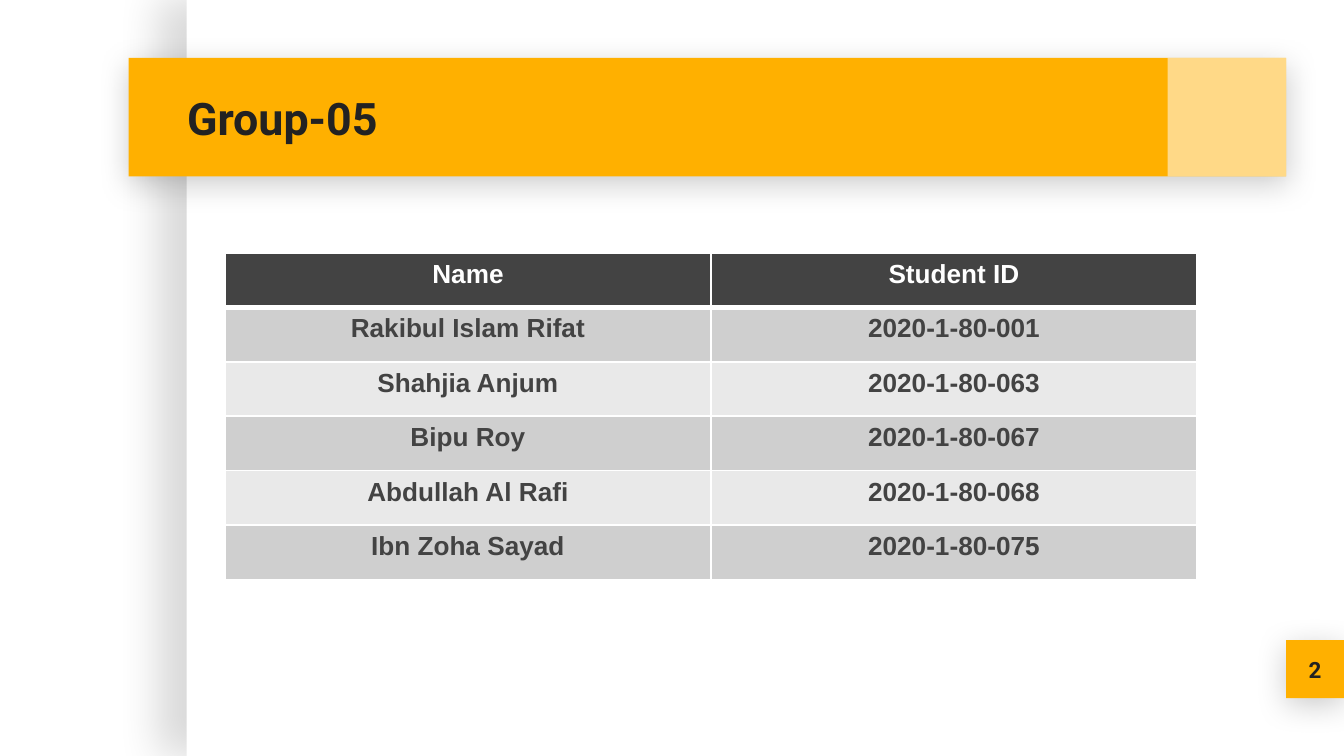
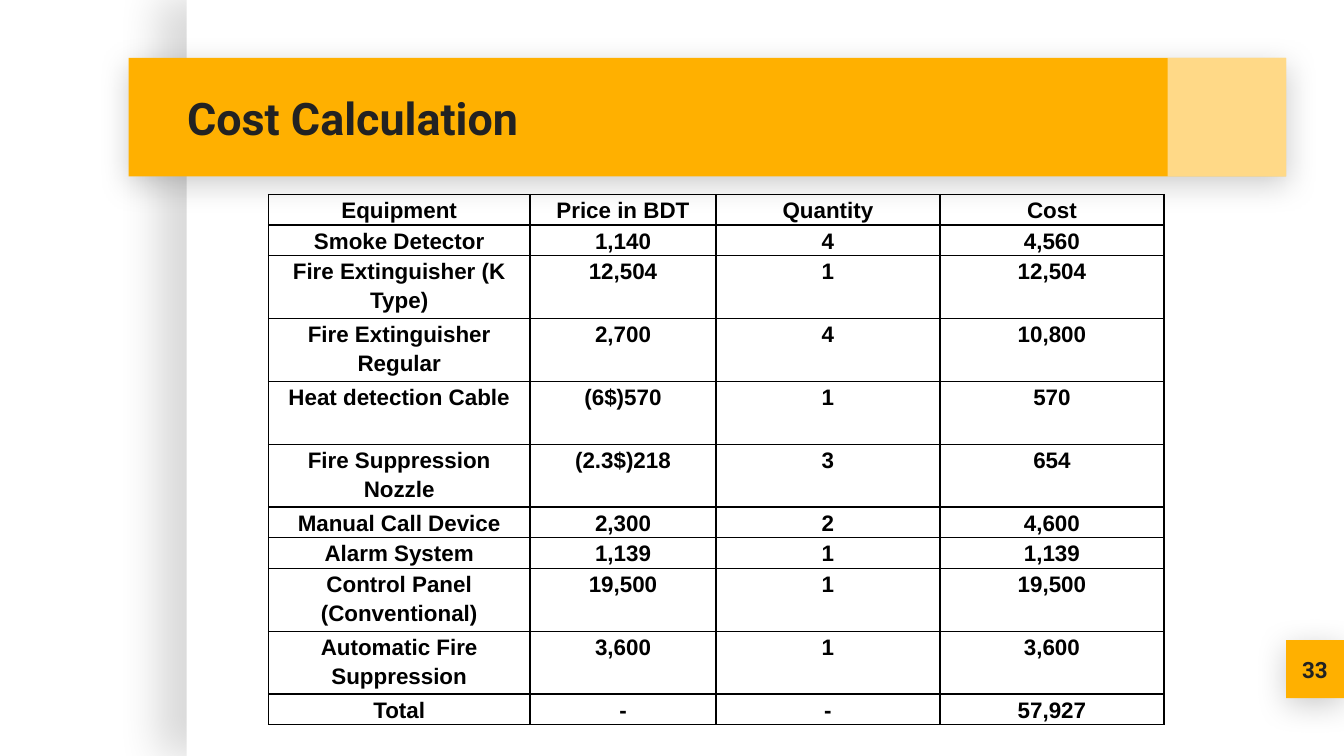
"""Build the group and cost slides with a shared amber band style."""
from lxml.etree import SubElement
from pptx import Presentation
from pptx.dml.color import RGBColor
from pptx.enum.shapes import MSO_SHAPE
from pptx.enum.text import MSO_ANCHOR, MSO_AUTO_SIZE, PP_ALIGN
from pptx.oxml.ns import qn
from pptx.util import Pt

WHITE, BLACK, AMBER, INK = "FFFFFF", "000000", "FFB000", "222222"
CHARCOAL, GREY, PALE = "434343", "CFCFCF", "E9E9E9"
WIDTH, HEIGHT = 720, 405
UNIT = 31
BAND_LEFT, BAND_TOP, BAND_HEIGHT = 69, UNIT, 63.5
BAND_RIGHT = WIDTH - UNIT
TAG = (BAND_RIGHT, 343, UNIT, UNIT)

STUDENTS = [
    ("Name", "Student ID"),
    ("Rakibul Islam Rifat", "2020-1-80-001"),
    ("Shahjia Anjum", "2020-1-80-063"),
    ("Bipu Roy", "2020-1-80-067"),
    ("Abdullah Al Rafi", "2020-1-80-068"),
    ("Ibn Zoha Sayad", "2020-1-80-075"),
]
COSTS = [
    ("Equipment", "Price in BDT", "Quantity", "Cost"),
    ("Smoke Detector", "1,140", "4", "4,560"),
    ("Fire Extinguisher (K Type)", "12,504", "1", "12,504"),
    ("Fire Extinguisher Regular", "2,700", "4", "10,800"),
    ("Heat detection Cable", "(6$)570", "1", "570"),
    ("Fire Suppression Nozzle", "(2.3$)218", "3", "654"),
    ("Manual Call Device", "2,300", "2", "4,600"),
    ("Alarm System", "1,139", "1", "1,139"),
    ("Control Panel (Conventional)", "19,500", "1", "19,500"),
    ("Automatic Fire Suppression", "3,600", "1", "3,600"),
    ("Total", "-", "-", "57,927"),
]
TALL_ROWS = {2, 3, 4, 5, 8, 9}


def rgb(value):
    return RGBColor.from_string(value)


class SlideBuilder:
    def __init__(self):
        self.deck = Presentation()
        self.deck.slide_width, self.deck.slide_height = Pt(WIDTH), Pt(HEIGHT)
        self.page = None

    def start(self, title, number):
        self.page = self.deck.slides.add_slide(self.deck.slide_layouts[5])
        self.page.background.fill.solid()
        self.page.background.fill.fore_color.rgb = rgb(WHITE)
        band_shadow = (20, 16.9, 3.8, 90)
        self.block((BAND_LEFT + UNIT, 0, WIDTH - BAND_LEFT - UNIT, HEIGHT), WHITE, shadow=(15, 22.5, 15, 180))
        self.block((BAND_LEFT, BAND_TOP, BAND_RIGHT - BAND_LEFT, BAND_HEIGHT), AMBER, shadow=band_shadow)
        self.block((BAND_RIGHT - BAND_HEIGHT, BAND_TOP, BAND_HEIGHT, BAND_HEIGHT), WHITE, alpha=53)
        self.title(title)
        tag = self.block(TAG, AMBER, shadow=band_shadow)
        self.frame(tag.text_frame)
        self.add_text(tag.text_frame, number, 12, INK, "Roboto", PP_ALIGN.CENTER)

    def block(self, place, fill, alpha=None, shadow=None):
        box = self.page.shapes.add_shape(MSO_SHAPE.RECTANGLE, *map(Pt, place))
        box.fill.solid()
        box.fill.fore_color.rgb = rgb(fill)
        box.line.fill.background()
        box.shadow.inherit = False
        properties = box._element.spPr
        if alpha:
            colour = properties.find(".//" + qn("a:srgbClr"))
            SubElement(colour, qn("a:alpha"), val=str(alpha * 1000))
        if shadow:
            self.shadow(properties.find(qn("a:effectLst")), *shadow)
        return box

    def shadow(self, effects, opacity, blur, distance, angle):
        outer = SubElement(
            effects, qn("a:outerShdw"), blurRad=str(Pt(blur)), dist=str(Pt(distance)),
            dir=str(angle * 60000), algn="bl", rotWithShape="0")
        colour = SubElement(outer, qn("a:srgbClr"), val=BLACK)
        SubElement(colour, qn("a:alpha"), val=str(opacity * 1000))

    def title(self, text):
        box = self.page.shapes.title
        box.left, box.top, box.width, box.height = map(Pt, (93, BAND_TOP, 531, BAND_HEIGHT))
        self.page.shapes._spTree.append(box._element)
        self.frame(box.text_frame)
        self.add_text(box.text_frame, text, 24, INK, "Roboto", PP_ALIGN.LEFT)

    def frame(self, frame):
        frame.word_wrap = True
        frame.auto_size = MSO_AUTO_SIZE.NONE
        frame.vertical_anchor = MSO_ANCHOR.MIDDLE
        frame.margin_left = frame.margin_right = Pt(7.2)
        frame.margin_top = frame.margin_bottom = Pt(7.2)

    def add_text(self, frame, text, size, colour, font, align, spacing=None):
        para = frame.paragraphs[0]
        para.alignment = align
        para.line_spacing = spacing
        span = para.add_run()
        span.text = text
        span.font.size, span.font.name, span.font.bold = Pt(size), font, True
        span.font.color.rgb = rgb(colour)

    def table(self, left, top, columns, heights, rows, style, size, margins, spacing=None):
        shape = self.page.shapes.add_table(
            len(rows), len(columns), Pt(left), Pt(top), Pt(sum(columns)), Pt(sum(heights)))
        grid = shape.table
        grid.first_row = grid.horz_banding = False
        for column, width in zip(grid.columns, columns):
            column.width = Pt(width)
        for index, (values, height) in enumerate(zip(rows, heights)):
            grid.rows[index].height = Pt(height)
            fill, colour, line, widths = style(index)
            for cell, text in zip(grid.rows[index].cells, values):
                cell.margin_left = cell.margin_right = Pt(margins[0])
                cell.margin_top = cell.margin_bottom = Pt(margins[1])
                self.borders(cell, line, widths)
                if fill:
                    cell.fill.solid()
                    cell.fill.fore_color.rgb = rgb(fill)
                else:
                    cell.fill.background()
                self.add_text(cell.text_frame, text, size, colour, "Arial", PP_ALIGN.CENTER, spacing)

    def borders(self, cell, colour, widths):
        properties = cell._tc.get_or_add_tcPr()
        for side, width in zip("LRTB", widths):
            line = SubElement(properties, qn("a:ln" + side), w=str(Pt(width)))
            fill = SubElement(line, qn("a:solidFill"))
            SubElement(fill, qn("a:srgbClr"), val=colour)


def student_style(row):
    if row == 0:
        return CHARCOAL, WHITE, WHITE, (1, 1, 1, 3)
    return (GREY if row % 2 else PALE), CHARCOAL, WHITE, (1, 1, 3 if row == 1 else 1, 1)


def cost_style(row):
    return None, BLACK, BLACK, (0.75,) * 4


def main():
    builder = SlideBuilder()
    builder.start("Group-05", "2")
    builder.table(120.5, 135.5, [260.4] * 2, [29.17] * len(STUDENTS), STUDENTS, student_style, 14, (7.2, 3.6))
    builder.start("Cost Calculation", "33")
    heights = [33.7 if row in TALL_ROWS else 16.4 for row in range(len(COSTS))]
    builder.table(143.8, 104.2, [140.2, 99.6, 120, 120], heights, COSTS, cost_style, 12, (5, 0), 1.15)
    builder.deck.save("out.pptx")


if __name__ == "__main__":
    main()
